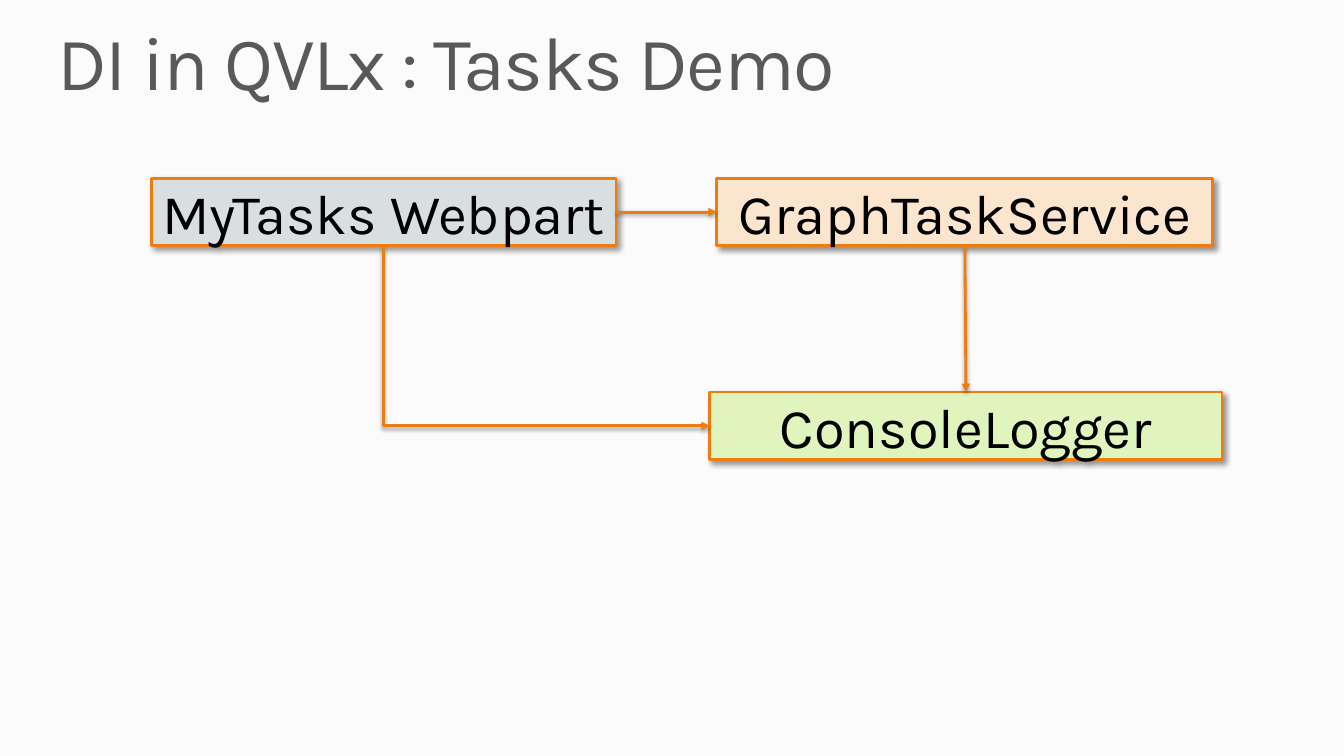
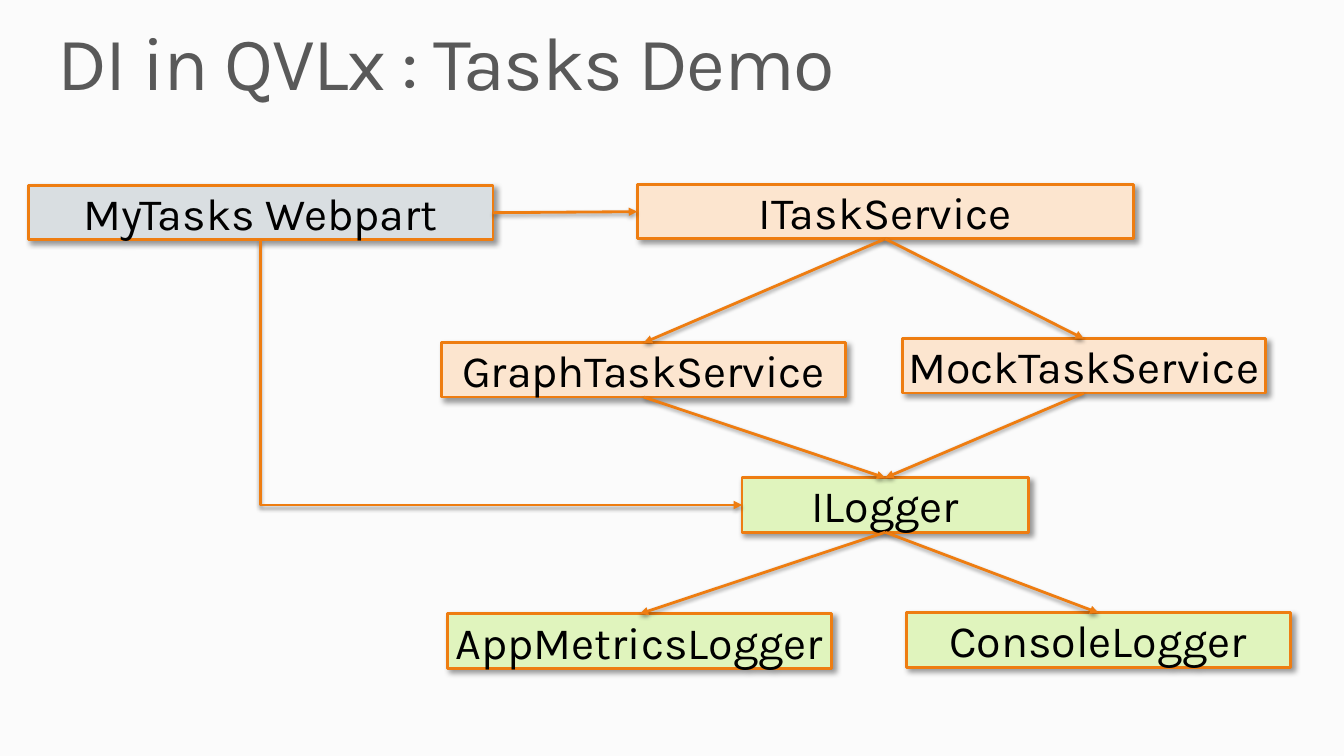
from lxml.etree import SubElement
from pptx import Presentation
from pptx.dml.color import RGBColor
from pptx.enum.shapes import MSO_CONNECTOR, MSO_SHAPE
from pptx.enum.text import MSO_ANCHOR, PP_ALIGN
from pptx.oxml.ns import qn
from pptx.util import Inches, Pt

TITLE = "DI in QVLx : Tasks Demo"
FONT = "Karla"
BACKGROUND, TITLE_COLOR, TEXT_COLOR, ACCENT = "FBFBFB", "595959", "000000", "EE7D11"
WEBPART, SERVICE, LOGGER = "D9DEE1", "FCE5CF", "E0F4BD"
BOX_SHADOW = {"alpha": 40, "blur": 4, "distance": 3, "angle": 45}
LINE_SHADOW = {"alpha": 38, "blur": 3.1, "distance": 1.6, "angle": 90}
TOP, LEFT, BOTTOM, RIGHT = range(4)

DIAGRAMS = [
    {
        "size": 40,
        "height": 0.67,
        "boxes": [
            ("MyTasks Webpart", WEBPART, 1.5, 1.77, 4.61),
            ("GraphTaskService", SERVICE, 7.11, 1.77, 4.92),
            ("ConsoleLogger", LOGGER, 7.04, 3.89, 5.08),
        ],
        "arrows": [
            ("MyTasks Webpart", RIGHT, "GraphTaskService", LEFT),
            ("GraphTaskService", BOTTOM, "ConsoleLogger", TOP),
            ("MyTasks Webpart", BOTTOM, "ConsoleLogger", LEFT),
        ],
    },
    {
        "size": 32,
        "height": 0.54,
        "boxes": [
            ("MyTasks Webpart", WEBPART, 0.28, 1.84, 4.61),
            ("ITaskService", SERVICE, 6.32, 1.83, 4.92),
            ("GraphTaskService", SERVICE, 4.38, 3.4, 4.01),
            ("MockTaskService", SERVICE, 8.95, 3.36, 3.6),
            ("ILogger", LOGGER, 7.36, 4.74, 2.84),
            ("AppMetricsLogger", LOGGER, 4.44, 6.09, 3.81),
            ("ConsoleLogger", LOGGER, 8.99, 6.08, 3.81),
        ],
        "arrows": [
            ("MyTasks Webpart", RIGHT, "ITaskService", LEFT),
            ("MyTasks Webpart", BOTTOM, "ILogger", LEFT),
            ("ITaskService", BOTTOM, "GraphTaskService", TOP),
            ("ITaskService", BOTTOM, "MockTaskService", TOP),
            ("GraphTaskService", BOTTOM, "ILogger", TOP),
            ("MockTaskService", BOTTOM, "ILogger", TOP),
            ("ILogger", BOTTOM, "AppMetricsLogger", TOP),
            ("ILogger", BOTTOM, "ConsoleLogger", TOP),
        ],
    },
]


def paint(color_format, value):
    color_format.rgb = RGBColor.from_string(value)


def fill_solid(fill, value):
    fill.solid()
    paint(fill.fore_color, value)


def write(shape, text, size, color):
    frame = shape.text_frame
    frame.margin_left = frame.margin_right = frame.margin_top = frame.margin_bottom = 0
    frame.text = text
    para = frame.paragraphs[0]
    span = para.runs[0]
    span.font.name = FONT
    span.font.size = Pt(size)
    paint(span.font.color, color)
    return para


def outline(shape):
    shape.line.width = Pt(2)
    paint(shape.line.color, ACCENT)


def cast_shadow(properties, alpha, blur, distance, angle):
    effects = properties.find(qn("a:effectLst"))
    if effects is None:
        effects = SubElement(properties, qn("a:effectLst"))
    shadow = SubElement(effects, qn("a:outerShdw"), blurRad=str(Pt(blur)),
                        dist=str(Pt(distance)), dir=str(angle * 60000),
                        algn="ctr", rotWithShape="0")
    color = SubElement(shadow, qn("a:srgbClr"), val="000000")
    SubElement(color, qn("a:alpha"), val=str(alpha * 1000))


def add_title(page):
    title = page.shapes.add_textbox(Inches(0.57), Inches(0.25), Inches(12.19), Inches(0.82))
    title.text_frame.word_wrap = True
    para = write(title, TITLE, 54, TITLE_COLOR)
    para.line_spacing = 0.9
    para.runs[0].font._element.set("spc", "-100")


def add_box(page, text, fill, left, top, width, height, size):
    box = page.shapes.add_shape(MSO_SHAPE.RECTANGLE, Inches(left), Inches(top),
                                Inches(width), Inches(height))
    fill_solid(box.fill, fill)
    outline(box)
    box.shadow.inherit = False
    cast_shadow(box._element.spPr, **BOX_SHADOW)
    box.text_frame.word_wrap = False
    box.text_frame.vertical_anchor = MSO_ANCHOR.MIDDLE
    write(box, text, size, TEXT_COLOR).alignment = PP_ALIGN.CENTER
    return box


def bend_down_then_right(arrow):
    across, down = arrow.width, arrow.height
    arrow.left += (across - down) // 2
    arrow.top += (down - across) // 2
    arrow.width, arrow.height = down, across
    properties = arrow._element.spPr
    frame = properties.find(qn("a:xfrm"))
    frame.set("rot", str(270 * 60000))
    frame.set("flipH", "1")
    properties.find(qn("a:prstGeom")).set("prst", "bentConnector2")


def add_arrow(page, source, source_side, target, target_side):
    bent = (source_side, target_side) == (BOTTOM, LEFT)
    kind = MSO_CONNECTOR.ELBOW if bent else MSO_CONNECTOR.STRAIGHT
    arrow = page.shapes.add_connector(kind, 0, 0, 0, 0)
    arrow.begin_connect(source, source_side)
    arrow.end_connect(target, target_side)
    if bent:
        bend_down_then_right(arrow)
    outline(arrow)
    properties = arrow._element.spPr
    SubElement(properties.find(qn("a:ln")), qn("a:tailEnd"), type="triangle")
    cast_shadow(properties, **LINE_SHADOW)


deck = Presentation()
deck.slide_width, deck.slide_height = Inches(13.33), Inches(7.5)
for diagram in DIAGRAMS:
    page = deck.slides.add_slide(deck.slide_layouts[6])
    fill_solid(page.background.fill, BACKGROUND)
    add_title(page)
    boxes = {}
    for text, *place in diagram["boxes"]:
        boxes[text] = add_box(page, text, *place, diagram["height"], diagram["size"])
    for source, source_side, target, target_side in diagram["arrows"]:
        add_arrow(page, boxes[source], source_side, boxes[target], target_side)
deck.save("out.pptx")
